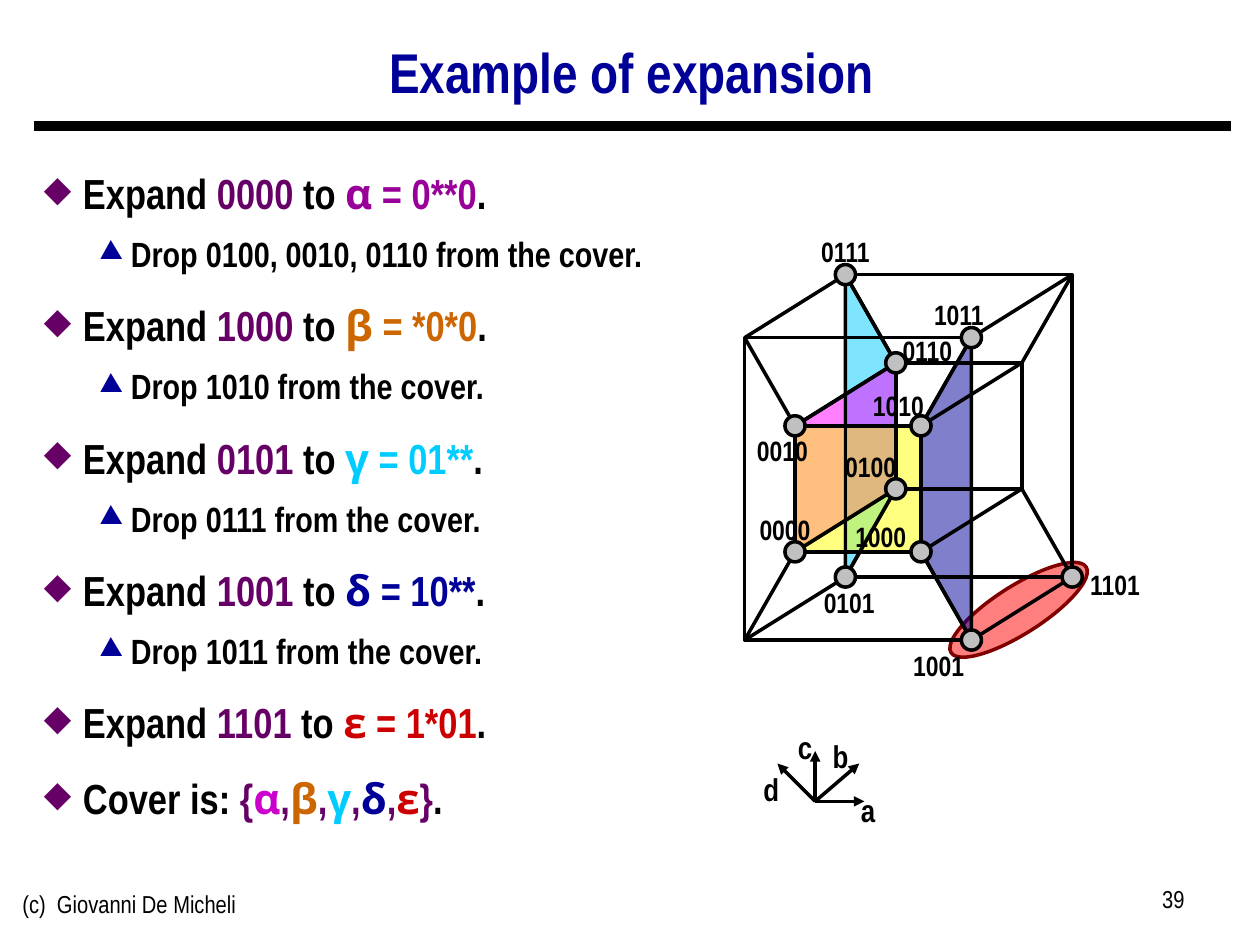
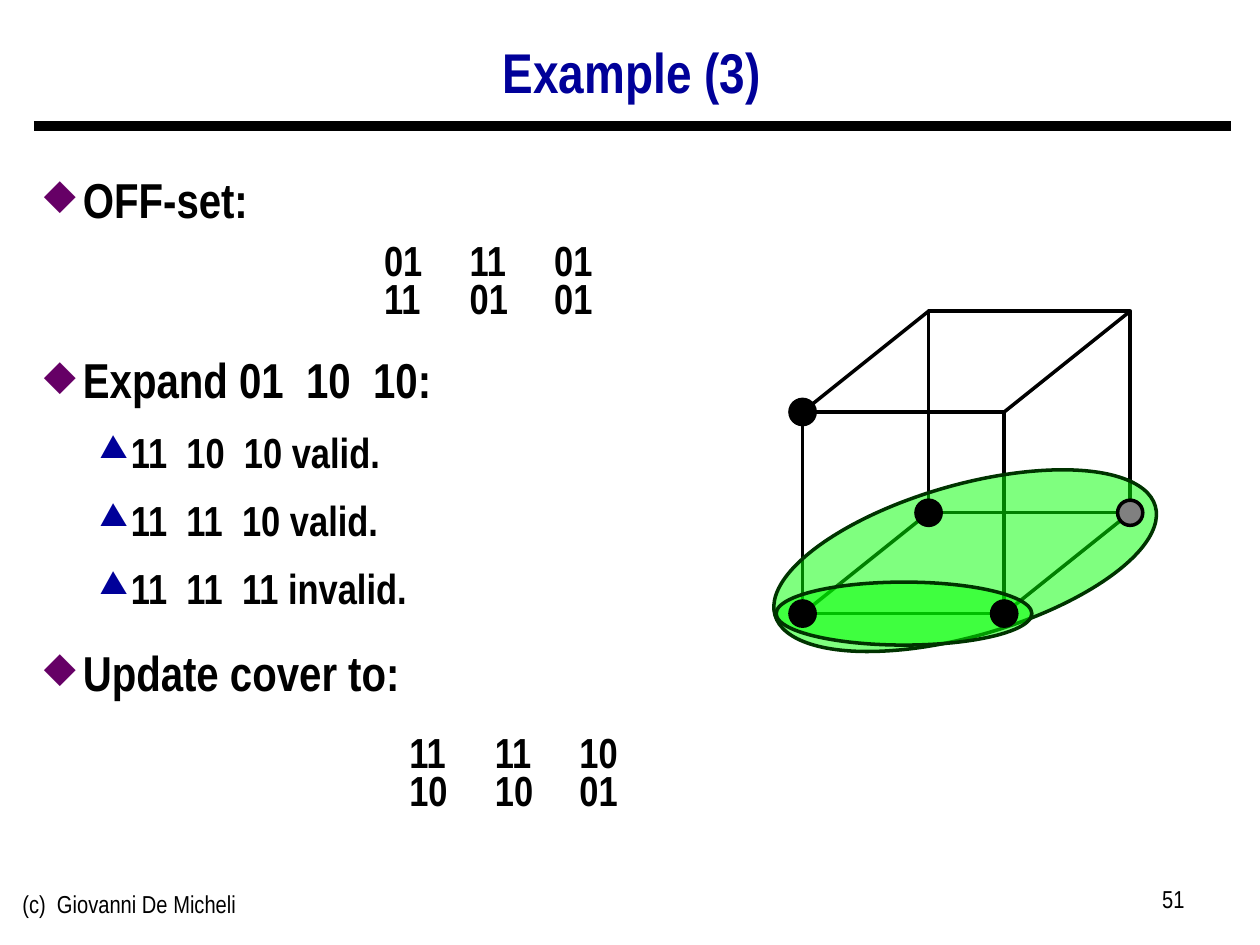
from itertools import product

from lxml import etree
from pptx import Presentation
from pptx import util as u
from pptx.dml.color import RGBColor
from pptx.enum import shapes, text
from pptx.oxml import ns

HUES = {
    "ink": "000000", "navy": "000099", "plum": "660066", "violet": "990099",
    "pink": "CC00CC", "orange": "CC6600", "sky": "00CCFF", "red": "CC0000",
    "magenta": "FF00FF", "yellow": "FFFF00", "scarlet": "FF0000",
    "maroon": "800000", "lime": "00FF00", "forest": "003300",
    "silver": "C0C0C0", "grey": "808080",
}
FACE = "Arial Narrow"
GREEK = "Open Sans"
BULLETS = [("◆", "plum", 85, 0.31, 0.31, 1.25), ("▲", "navy", 75, 0.69, 0.25, 1.1)]
KINDS = shapes.MSO_SHAPE
ALIGN = text.PP_ALIGN


def inch(*nums):
    return [u.Inches(n) for n in nums]


def hue(name):
    return RGBColor.from_string(HUES[name])


def node(parent, tag, **attrs):
    return etree.SubElement(parent, ns.qn(tag), **attrs)


def style(para, size, name="ink", bold=True):
    font = para.font
    font.name, font.size, font.bold = FACE, u.Pt(size), bold
    font.color.rgb = hue(name)


def write(slide, box, words, size, name="ink", bold=True, align=ALIGN.LEFT, wrap=True):
    frame = slide.shapes.add_textbox(*inch(*box)).text_frame
    frame.word_wrap = wrap
    para = frame.paragraphs[0]
    para.text = words
    para.alignment = align
    style(para, size, name, bold)
    return frame


def label(slide, x, y, words, size, w=0.61, h=0.37):
    write(slide, (x - w / 2, y - h / 2, w, h), words, size, align=ALIGN.CENTER, wrap=False)


def paint(shape, fill=None, edge="ink", alpha=None):
    shape.shadow.inherit = False
    shape.line.color.rgb = hue(edge)
    shape.line.width = u.Pt(2)
    if fill is None:
        shape.fill.background()
        return
    shape.fill.solid()
    shape.fill.fore_color.rgb = hue(fill)
    if alpha:
        solid = shape._element.spPr.find(ns.qn("a:solidFill"))
        node(solid[0], "a:alpha", val=str(alpha * 1000))


def draw(slide, kind, box, fill=None, edge="ink", alpha=None, turn=0):
    shape = slide.shapes.add_shape(kind, *inch(*box))
    shape.rotation = turn
    paint(shape, fill, edge, alpha)


def dot(slide, x, y, size, fill):
    draw(slide, KINDS.OVAL, (x - size / 2, y - size / 2, size, size), fill)


def patch(slide, spots, fill):
    first, *rest = [inch(*spot) for spot in spots]
    build = slide.shapes.build_freeform(*first)
    build.add_line_segments(rest, close=True)
    paint(build.convert_to_shape(), fill, alpha=50)


def link(slide, start, end, width=2, arrow=False):
    line = slide.shapes.add_connector(shapes.MSO_CONNECTOR.STRAIGHT, *inch(*start, *end))
    line.line.color.rgb = hue("ink")
    line.line.width = u.Pt(width)
    if arrow:
        node(line.line._get_or_add_ln(), "a:tailEnd", type="triangle")
    node(line._element.spPr, "a:effectLst")


def corner(cube, a, b, c):
    x, y, w, h, dx, dy = cube
    return x + a * w + b * dx, y + (1 - c) * h - b * dy


def wire(slide, cube):
    for b in (0, 1):
        draw(slide, KINDS.RECTANGLE, (*corner(cube, 0, b, 1), *cube[2:4]))
    for a, c in product((0, 1), repeat=2):
        link(slide, corner(cube, a, 0, c), corner(cube, a, 1, c))


def bullet(frame, level, size, spans, gap=None):
    first = frame.paragraphs[0]
    fresh = not first.runs
    para = first if fresh else frame.add_paragraph()
    mark, tint, scale, left, hang, lead = BULLETS[level]
    para.level = level
    props = para._p.get_or_add_pPr()
    props.set("marL", str(u.Inches(left)))
    props.set("indent", str(-u.Inches(hang)))
    if not fresh and gap is None:
        node(node(props, "a:spcBef"), "a:spcPct", val="30000")
    node(node(props, "a:buClr"), "a:srgbClr", val=HUES[tint])
    node(props, "a:buSzPct", val=str(scale * 1000))
    node(props, "a:buChar", char=mark)
    para.line_spacing = lead
    if gap:
        para.space_before = u.Pt(gap)
    style(para, size)
    for words, name in spans:
        run = para.add_run()
        run.text = words
        if name != "ink":
            run.font.color.rgb = hue(name)
        if words in "αβγδε":
            run.font.name = GREEK


def base(deck, title, number):
    slide = deck.slides.add_slide(deck.slide_layouts[6])
    link(slide, (0.27, 1), (9.77, 1), 6)
    write(slide, (0.08, 7.01, 3.17, 0.52), "(c)  Giovanni De Micheli", 14, bold=False)
    write(slide, (7.17, 6.97, 2.33, 0.52), number, 14, bold=False, align=ALIGN.RIGHT)
    head = write(slide, (0.26, 0.22, 9.51, 0.75), title, 32, "navy", align=ALIGN.CENTER)
    head.vertical_anchor = text.MSO_ANCHOR.MIDDLE
    head.paragraphs[0].line_spacing = 0.9
    body = slide.shapes.add_textbox(*inch(0.25, 1.18, 9.51, 5.69)).text_frame
    body.word_wrap = True
    return slide, body


def steps(body):
    rows = [
        ("0000", "α", "0**0", "violet", "0100, 0010, 0110"),
        ("1000", "β", "*0*0", "orange", "1010"),
        ("0101", "γ", "01**", "sky", "0111"),
        ("1001", "δ", "10**", "navy", "1011"),
        ("1101", "ε", "1*01", "red", None),
    ]
    for code, sign, term, name, drop in rows:
        bullet(body, 0, 24, [("Expand ", "ink"), (code, "plum"), (" to ", "ink"),
                             (sign, name), (f" = {term}", name), (".", "ink")])
        if drop:
            bullet(body, 1, 20, [(f"Drop {drop} from the cover.", "ink")])
    cover = [("Cover is: ", "ink")]
    for i, row in enumerate(rows):
        cover += [("," if i else "{", "plum"), (row[1], row[3] if i else "pink")]
    bullet(body, 0, 24, cover + [("}", "plum"), (".", "ink")])


def graph(slide, x, y):
    cubes = [(x + 0.4, y + 1.2, 1, 1, 0.8, 0.5), (x, y + 0.5, 1.8, 2.4, 0.8, 0.5)]

    def spot(code):
        a, b, c, d = map(int, code)
        return corner(cubes[d], a, b, c)

    def face(codes, fill):
        patch(slide, [spot(code) for code in codes.split()], fill)

    face("0101 0100 0110 0111", "sky")
    face("0000 0100 0110 0010", "magenta")
    draw(slide, KINDS.RECTANGLE, (*spot("0010"), 1, 1), "yellow", alpha=50)
    draw(slide, KINDS.OVAL, (x + 1.54, y + 2.47, 1.27, 0.38), "scarlet", "maroon", 50, 327.6)
    face("1001 1000 1010 1011", "navy")
    for cube in cubes:
        wire(slide, cube)
    for a, b, c in product((0, 1), repeat=3):
        link(slide, corner(cubes[0], a, b, c), corner(cubes[1], a, b, c))
    names = {
        "0111": (0, -0.18), "1011": (-0.1, -0.18), "0110": (0.25, -0.1),
        "0010": (-0.1, 0.2), "0000": (-0.08, -0.18), "0101": (0.03, 0.2),
        "1101": (0.34, 0.06), "0100": (-0.2, -0.18), "1010": (-0.18, -0.16),
        "1000": (-0.32, -0.12), "1001": (-0.26, 0.2),
    }
    for code, (dx, dy) in names.items():
        left, top = spot(code)
        label(slide, left + dx, top + dy, code, 16)
    for code in names:
        dot(slide, *spot(code), 0.16, "silver")


def axes(slide, x, y):
    for name, dx, dy, tx, ty in [
        ("a", 0.39, 0, 0.42, 0.07), ("b", 0.35, -0.3, 0.2, -0.36),
        ("c", 0, -0.4, -0.08, -0.43), ("d", -0.3, -0.3, -0.35, -0.1),
    ]:
        link(slide, (x, y), (x + dx, y + dy), arrow=True)
        label(slide, x + tx, y + ty, name, 18, 0.32, 0.4)


def grid(slide, x, y, rows):
    for i, row in enumerate(rows):
        frame = write(slide, (x, y + 0.3 * i, 2, 0.5), "", 24)
        para = frame.paragraphs[0]
        para._p.remove(para._p.pPr)
        tabs = node(para._p.get_or_add_pPr(), "a:tabLst")
        for stop in (0.68, 1.35):
            node(tabs, "a:tab", pos=str(u.Inches(stop)), algn="l")
        para.add_run().text = "\t".join(row.split())
        style(para, 24)


def checks(body):
    for level, size, words, gap in [
        (0, 28, "OFF-set:", None), (0, 28, "Expand 01  10  10:", 61),
        (1, 24, "11  10  10 valid.", None), (1, 24, "11  11  10 valid.", None),
        (1, 24, "11  11  11 invalid.", None), (0, 28, "Update cover to:", None),
    ]:
        bullet(body, level, size, [(words, "ink")], gap)


def cover(slide, x, y):
    cube = (x, y + 0.8, 1.6, 1.6, 1, 0.8)
    wire(slide, cube)
    dot(slide, *corner(cube, 0, 0, 1), 0.2, "ink")
    draw(slide, KINDS.OVAL, (x - 0.28, y + 1.38, 3.14, 1.2), "lime", "forest", 50, 344)
    draw(slide, KINDS.OVAL, (x - 0.21, y + 2.15, 2.03, 0.5), "lime", "forest", 50)
    for a, b in product((0, 1), repeat=2):
        dot(slide, *corner(cube, a, b, 0), 0.2, "grey" if a and b else "ink")


def main():
    deck = Presentation()
    deck.slide_width, deck.slide_height = inch(10, 7.5)
    slide, body = base(deck, "Example of expansion", "39")
    steps(body)
    axes(slide, 6.47, 6.36)
    graph(slide, 5.91, 2.18)
    slide, body = base(deck, "Example (3)", "51")
    checks(body)
    grid(slide, 2.95, 1.81, ["01 11 01", "11 01 01"])
    grid(slide, 3.15, 5.72, ["11 11 10", "10 10 01"])
    cover(slide, 6.37, 2.47)
    deck.save("out.pptx")


if __name__ == "__main__":
    main()
